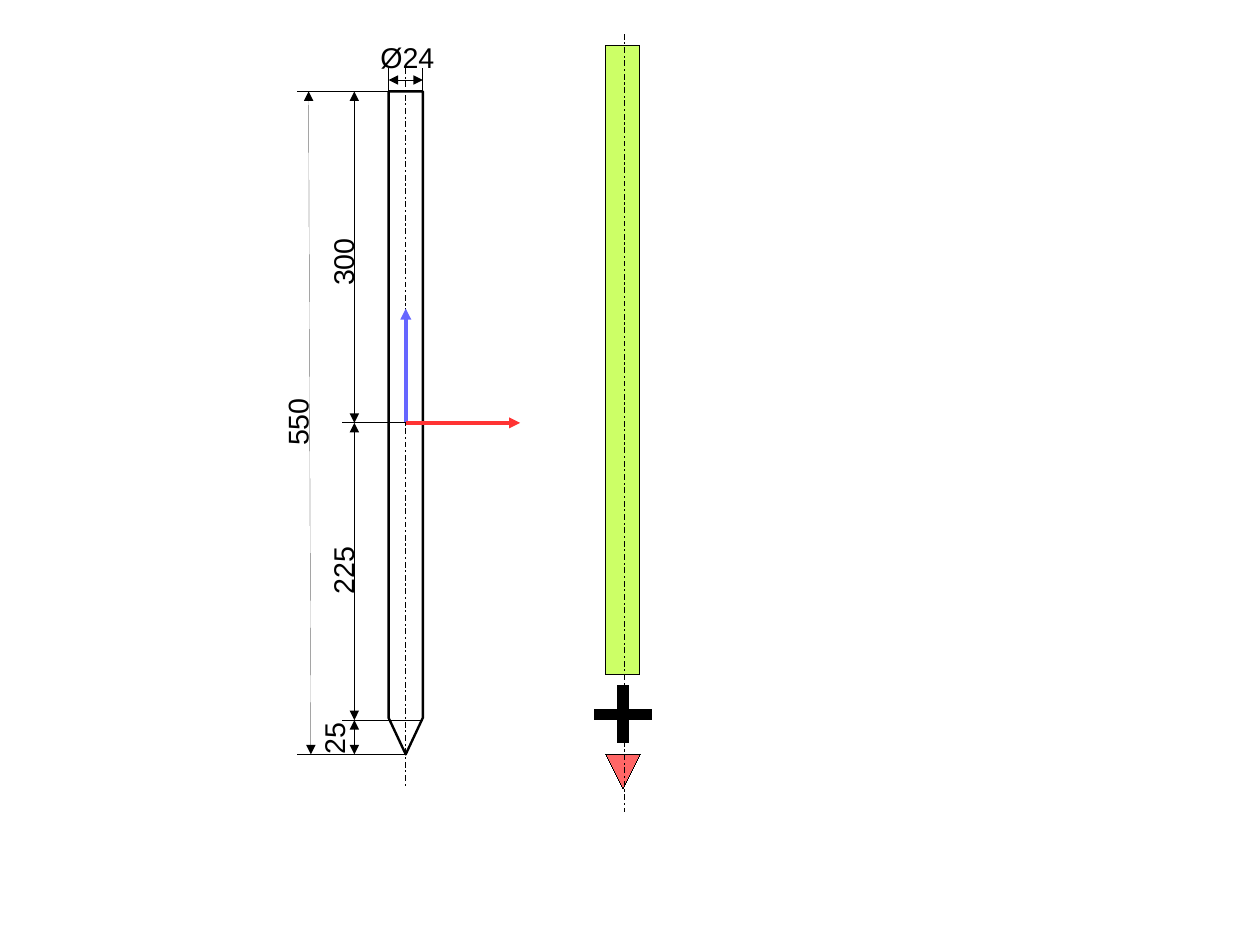
from dataclasses import dataclass

from lxml.etree import SubElement
from pptx import Presentation
from pptx.dml.color import RGBColor as Rgb
from pptx.enum.dml import MSO_LINE as Dash
from pptx.enum.shapes import MSO_CONNECTOR as Conn, MSO_SHAPE as Form
from pptx.enum.text import MSO_AUTO_SIZE as Auto
from pptx.oxml.ns import qn
from pptx.shapes.autoshape import Shape
from pptx.shapes.connector import Connector as Wire
from pptx.shapes.shapetree import GroupShapes, SlideShapes
from pptx.util import Pt

INK = {"black": "000000", "blue": "6666FF", "red": "FF3333",
       "lime": "CCFF66", "rose": "FF6666"}

LEFT, AXIS, RIGHT = 244.8, 255.6, 266.4
TOP, MID, NECK, TIP = 57.6, 266.4, 453.6, 475.2
EDGE = 452.16
INNER, OUTER = 223.2, 194.4
BAR, BAR_END, SPAN = 381.6, 403.2, 21.6


@dataclass
class Stroke:
    x1: float
    y1: float
    x2: float
    y2: float
    ends: str = ""
    ink: str = "black"
    width: float = 0
    dashed: bool = False


@dataclass
class Label:
    text: str
    x: float
    y: float
    width: float = 57.6
    turn: int = 270
    wrap: bool = True


BASE = [
    Stroke(LEFT, NECK, RIGHT, NECK),
    Stroke(AXIS, 43.2, AXIS, 496.8, dashed=True),
]
FRAME = [
    Stroke(AXIS, MID, AXIS, MID - 72, "tail", "blue", 2.3),
    Stroke(AXIS, MID, AXIS + 72, MID, "tail", "red", 2.3),
]
GUIDES = [
    Stroke(AXIS, MID, 216, MID),
    Stroke(252, TOP, 216, TOP),
    Stroke(AXIS, NECK, 216, NECK),
    Stroke(AXIS, TIP, 216, TIP),
    Stroke(AXIS, TIP, 187.2, TIP),
    Stroke(AXIS, TOP, 187.2, TOP),
    Stroke(LEFT, TOP, LEFT, 43.2),
    Stroke(RIGHT, TOP, RIGHT, 43.2),
]
SPANS = [
    Stroke(x1, y1, x2, y2, "head tail")
    for x1, y1, x2, y2 in (
        (INNER, TOP, INNER, MID),
        (INNER, MID, INNER, NECK),
        (INNER, NECK, INNER, TIP),
        (LEFT, 50.4, RIGHT, 50.4),
        (OUTER, TOP, 195.84, TIP),
    )
]
LABELS = [
    Label("Ø24", 232.56, 21.6, 48.24, 0, False),
    Label("300", 186.48, 144.72),
    Label("225", 186.48, 339.12),
    Label("25", 180.72, 439.92),
    Label("550", 157.68, 245.52),
]


def rule(shape: Shape | Wire, ink: str, width: float) -> None:
    shape.line.color.rgb = Rgb.from_string(INK[ink])
    edge = shape.element.spPr.find(qn("a:ln"))
    edge.set("w", str(int(Pt(width))))


def draw(shapes: SlideShapes | GroupShapes, item: Stroke) -> None:
    wire = shapes.add_connector(
        Conn.STRAIGHT, Pt(item.x1), Pt(item.y1), Pt(item.x2), Pt(item.y2))
    rule(wire, item.ink, item.width)
    if item.dashed:
        wire.line.dash_style = Dash.DASH_DOT
    props = wire.element.spPr
    for end in item.ends.split():
        SubElement(props.find(qn("a:ln")), qn(f"a:{end}End"), type="triangle")
    SubElement(props, qn("a:effectLst"))


def paint(shape: Shape, fill: str = "", width: float = 0) -> None:
    shape.shadow.inherit = False
    if fill:
        shape.fill.solid()
        shape.fill.fore_color.rgb = Rgb.from_string(INK[fill])
    else:
        shape.fill.background()
    rule(shape, "black", width)


def trace(shapes: SlideShapes, spots: list[tuple[float, float]]) -> Shape:
    start, *rest = [(Pt(x), Pt(y)) for x, y in spots]
    pen = shapes.build_freeform(*start, scale=1.0)
    pen.add_line_segments(rest, close=True)
    return pen.convert_to_shape()


def write(shapes: SlideShapes, item: Label) -> None:
    box = shapes.add_textbox(
        Pt(item.x), Pt(item.y), Pt(item.width), Pt(27.36))
    box.rotation = item.turn
    frame = box.text_frame
    frame.word_wrap = item.wrap
    frame.auto_size = Auto.SHAPE_TO_FIT_TEXT
    frame.text = item.text
    font = frame.paragraphs[0].runs[0].font
    font.name = "Arial"
    font.size = Pt(18)
    font.color.rgb = Rgb.from_string(INK["black"])


def main() -> None:
    deck = Presentation()
    deck.slide_width, deck.slide_height = Pt(793.7), Pt(595.28)
    shapes = deck.slides.add_slide(deck.slide_layouts[6]).shapes

    stake = trace(shapes, [(LEFT, TOP), (LEFT, EDGE), (AXIS, TIP),
                           (RIGHT, EDGE), (RIGHT, TOP)])
    paint(stake, width=1.5)
    for item in BASE:
        draw(shapes, item)
    group = shapes.add_group_shape()
    for item in FRAME:
        draw(group.shapes, item)
    for item in GUIDES + SPANS:
        draw(shapes, item)
    for item in LABELS:
        write(shapes, item)

    bar = shapes.add_shape(
        Form.RECTANGLE, Pt(BAR), Pt(28.8), Pt(SPAN), Pt(396))
    paint(bar, "lime")
    plus = shapes.add_shape(Form.CROSS, Pt(374.4), Pt(432), Pt(36), Pt(36))
    plus.adjustments[0] = 0.41
    paint(plus, "black")
    point = trace(shapes, [(BAR + SPAN / 2, TIP + SPAN),
                           (BAR, TIP), (BAR_END, TIP)])
    paint(point, "rose")
    draw(shapes, Stroke(393.12, 21.6, 393.12, 511.2, dashed=True))
    deck.save("out.pptx")


if __name__ == "__main__":
    main()
